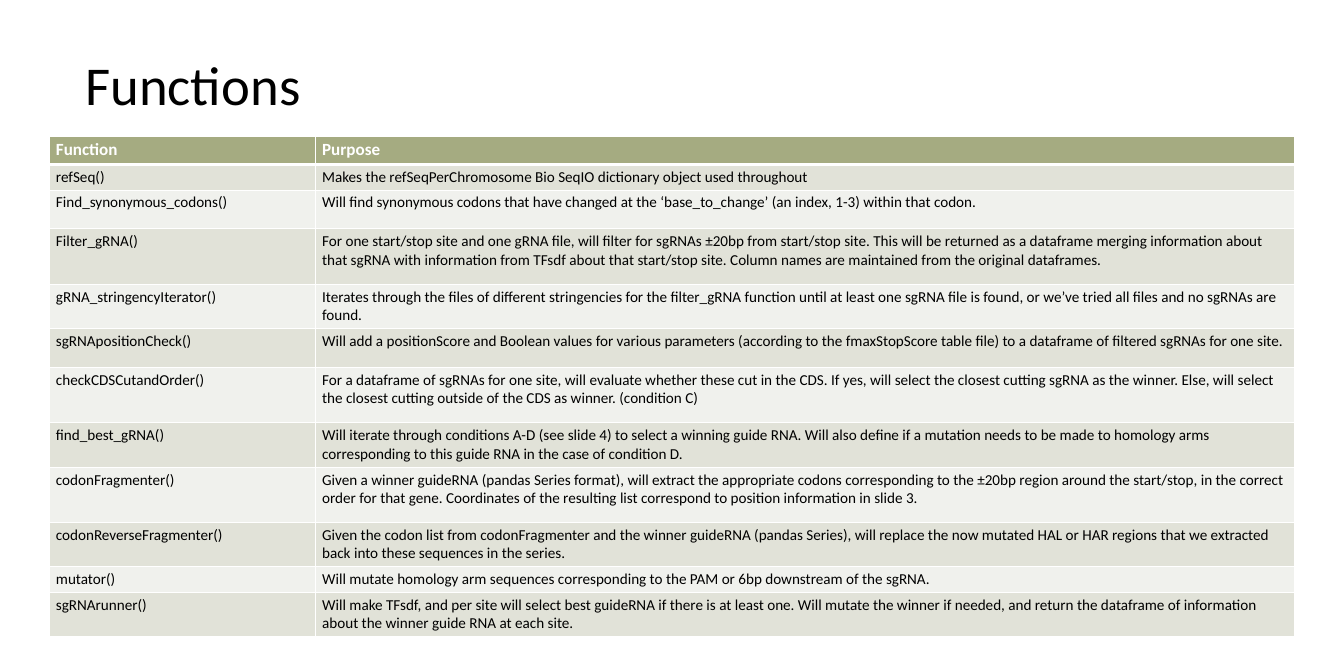
"""Build the slide that lists the guide RNA functions and their purposes."""
from typing import NamedTuple

from pptx import Presentation
from pptx.dml.color import RGBColor
from pptx.enum.text import MSO_ANCHOR as Anchor, MSO_AUTO_SIZE as AutoSize, PP_ALIGN as Align
from pptx.oxml.ns import qn
from pptx.slide import Slide
from pptx.table import _Cell as Cell
from pptx.text.text import _Paragraph as Paragraph
from pptx.util import Emu, Pt
from lxml.etree import SubElement

EMU_PER_PX = 9144
FONT = "Calibri"
BLACK, WHITE = "000000", "FFFFFF"
HEADER_FILL = "A5AB81"
BAND_FILLS = ("E1E2D8", "F0F1ED")
HEADER, SHORT, LOOSE, DOUBLE, TALL = 42, 37, 57, 65, 81
COLUMN_WIDTHS = (390, 1434)


class FunctionRow(NamedTuple):
    """One table row: its height in px and its two texts."""

    height: int
    function: str
    purpose: str


ROWS = (
    FunctionRow(HEADER, "Function", "Purpose"),
    FunctionRow(SHORT, "refSeq()",
                "Makes the refSeqPerChromosome Bio SeqIO dictionary object used throughout"),
    FunctionRow(LOOSE, "Find_synonymous_codons()",
                "Will find synonymous codons that have changed at the ‘base_to_change’ "
                "(an index, 1-3) within that codon."),
    FunctionRow(TALL, "Filter_gRNA()",
                "For one start/stop site and one gRNA file, will filter for sgRNAs ±20bp from "
                "start/stop site. This will be returned as a dataframe merging information about "
                "that sgRNA with information from TFsdf about that start/stop site. Column names "
                "are maintained from the original dataframes."),
    FunctionRow(DOUBLE, "gRNA_stringencyIterator()",
                "Iterates through the files of different stringencies for the filter_gRNA function "
                "until at least one sgRNA file is found, or we’ve tried all files and no sgRNAs "
                "are found."),
    FunctionRow(LOOSE, "sgRNApositionCheck()",
                "Will add a positionScore and Boolean values for various parameters (according to "
                "the fmaxStopScore table file) to a dataframe of filtered sgRNAs for one site."),
    FunctionRow(TALL, "checkCDSCutandOrder()",
                "For a dataframe of sgRNAs for one site, will evaluate whether these cut in the "
                "CDS. If yes, will select the closest cutting sgRNA as the winner. Else, will "
                "select the closest cutting outside of the CDS as winner. (condition C)"),
    FunctionRow(DOUBLE, "find_best_gRNA()",
                "Will iterate through conditions A-D (see slide 4) to select a winning guide RNA. "
                "Will also define if a mutation needs to be made to homology arms corresponding "
                "to this guide RNA in the case of condition D."),
    FunctionRow(TALL, "codonFragmenter()",
                "Given a winner guideRNA (pandas Series format), will extract the appropriate "
                "codons corresponding to the ±20bp region around the start/stop, in the correct "
                "order for that gene. Coordinates of the resulting list correspond to position "
                "information in slide 3."),
    FunctionRow(DOUBLE, "codonReverseFragmenter()",
                "Given the codon list from codonFragmenter and the winner guideRNA (pandas "
                "Series), will replace the now mutated HAL or HAR regions that we extracted back "
                "into these sequences in the series."),
    FunctionRow(SHORT, "mutator()",
                "Will mutate homology arm sequences corresponding to the PAM or 6bp downstream "
                "of the sgRNA."),
    FunctionRow(DOUBLE, "sgRNArunner()",
                "Will make TFsdf, and per site will select best guideRNA if there is at least one. "
                "Will mutate the winner if needed, and return the dataframe of information about "
                "the winner guide RNA at each site."),
)


def px(length: int) -> Emu:
    """Turn whole px into EMU."""
    return Emu(length * EMU_PER_PX)


def color(value: str) -> RGBColor:
    """Turn a hex string into a colour."""
    return RGBColor.from_string(value)


def set_font(para: Paragraph, size: float, value: str, bold: bool = False) -> None:
    """Set the font of a whole paragraph."""
    font = para.font
    font.name, font.size, font.bold = FONT, Pt(size), bold
    font.color.rgb = color(value)


def set_borders(cell: Cell, top: int, bottom: int) -> None:
    """Draw white borders, with top and bottom widths in points."""
    properties = cell._tc.get_or_add_tcPr()
    for tag, width in (("a:lnL", 1), ("a:lnR", 1), ("a:lnT", top), ("a:lnB", bottom)):
        line = SubElement(properties, qn(tag), w=str(Pt(width)))
        fill = SubElement(line, qn("a:solidFill"))
        SubElement(fill, qn("a:srgbClr"), val=WHITE)


def add_title(slide: Slide, text: str) -> None:
    """Place and format the slide title."""
    title = slide.shapes.title
    title.left, title.top, title.width, title.height = map(px, (115, 34, 1698, 190))
    frame = title.text_frame
    frame.text = text
    frame.word_wrap = True
    frame.auto_size = AutoSize.NONE
    frame.vertical_anchor = Anchor.MIDDLE
    para = frame.paragraphs[0]
    para.alignment = Align.LEFT
    para.line_spacing = 0.9
    set_font(para, 57.7, BLACK)


def fill_cell(cell: Cell, text: str, row_index: int) -> None:
    """Write a cell and style it by its row."""
    is_header = row_index == 0
    cell.text = text
    set_borders(cell, top=3 if row_index == 1 else 1, bottom=3 if is_header else 1)
    cell.fill.solid()
    cell.fill.fore_color.rgb = color(HEADER_FILL if is_header else BAND_FILLS[(row_index - 1) % 2])
    set_font(cell.text_frame.paragraphs[0], 18 if is_header else 16,
             WHITE if is_header else BLACK, is_header)


def add_function_table(slide: Slide, rows: tuple[FunctionRow, ...]) -> None:
    """Add the table of functions."""
    height = sum(row.height for row in rows)
    table = slide.shapes.add_table(len(rows), len(COLUMN_WIDTHS), px(72), px(199),
                                   px(sum(COLUMN_WIDTHS)), px(height)).table
    table.horz_banding = False
    for column, width in zip(table.columns, COLUMN_WIDTHS):
        column.width = px(width)
    for row_index, row in enumerate(rows):
        table.rows[row_index].height = px(row.height)
        for column_index, text in enumerate((row.function, row.purpose)):
            fill_cell(table.cell(row_index, column_index), text, row_index)


def main() -> None:
    """Build and save the deck."""
    deck = Presentation()
    deck.slide_width, deck.slide_height = px(1969), px(984)
    slide = deck.slides.add_slide(deck.slide_layouts[5])
    add_title(slide, "Functions")
    add_function_table(slide, ROWS)
    deck.save("out.pptx")


if __name__ == "__main__":
    main()
